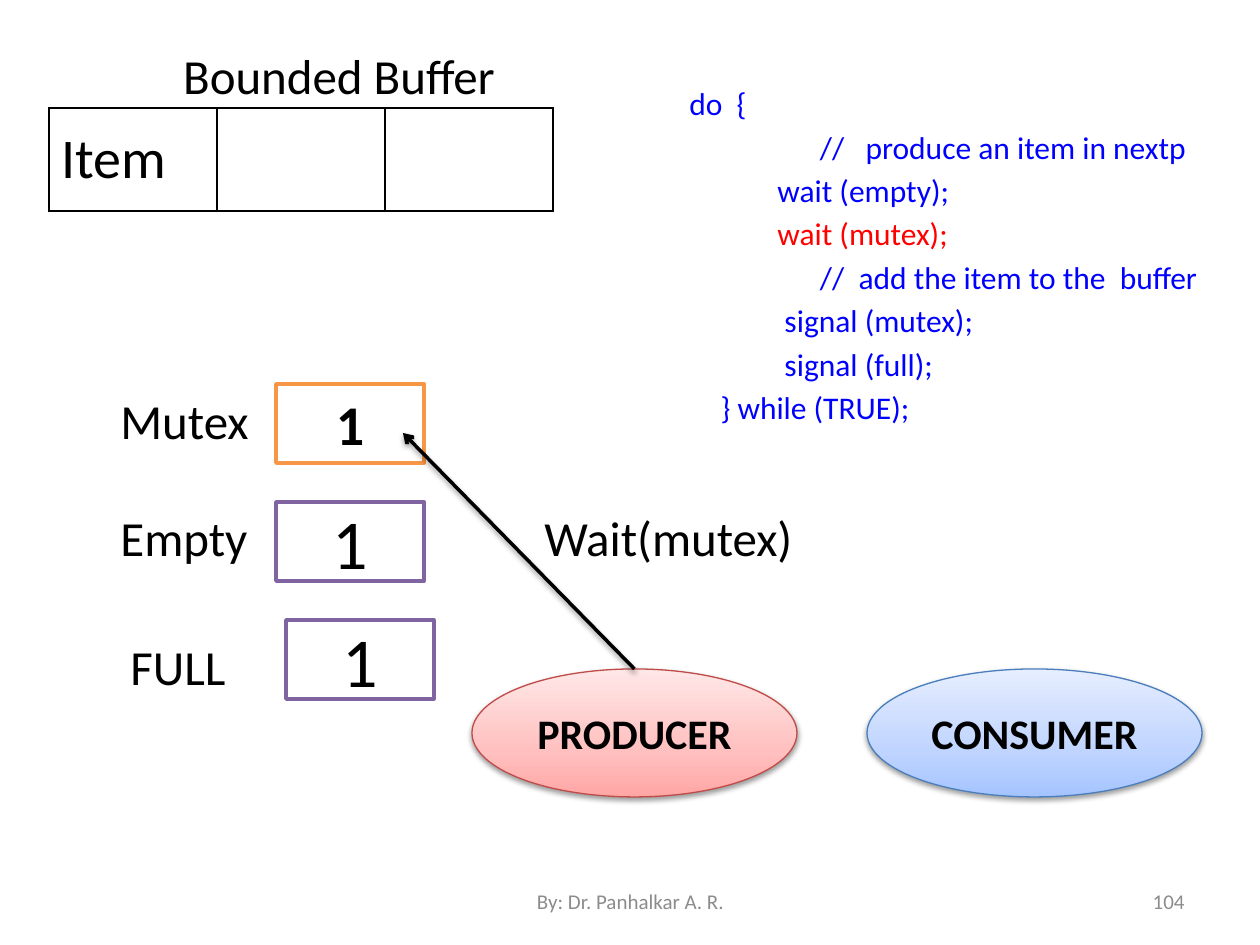
from dataclasses import dataclass

from lxml import etree
from pptx import Presentation
from pptx.dml.color import RGBColor
from pptx.enum.shapes import MSO_CONNECTOR as CONN, MSO_SHAPE as SHAPE
from pptx.enum.text import MSO_ANCHOR as ANCHOR, PP_ALIGN as ALIGN
from pptx.oxml import parse_xml
from pptx.oxml.ns import nsdecls, qn
from pptx.util import Pt


@dataclass(frozen=True)
class Theme:
    font: str = "Calibri"
    black: str = "000000"
    white: str = "FFFFFF"
    code: str = "0000FF"
    current: str = "FF0000"
    grey: str = "8C8C8C"
    orange: str = "F79646"
    purple: str = "8064A2"
    footer: int = 12
    code_size: int = 18
    role: int = 24
    label: int = 28
    item: int = 32
    count: int = 40


T = Theme()
CELLS = ["Item", "", ""]
TABLE_BOX = (49, 108, 504, 103)
LABELS = [
    ("Bounded Buffer", (78, 39, 522, 72), ALIGN.CENTER),
    ("Wait(mutex)", (532, 501, 305, 72), ALIGN.LEFT),
]
SEMAPHORES = [
    ("Mutex", 108, 384, 276, T.item, T.orange, True),
    ("Empty", 108, 501, 276, T.count, T.purple, False),
    ("FULL", 118, 630, 286, T.count, T.purple, False),
]
COUNT_TOP, COUNT_STEP = 384, 118
COUNT_SIZE = (148, 79)
ROLES = [
    ("PRODUCER", (472, 669, 325, 128), "BF4C48", ["FFA6A5", "FFC0BF", "FFE7E7"]),
    ("CONSUMER", (867, 669, 335, 128), "4B7EBC", ["A4C4FF", "BFD4FF", "E6EEFF"]),
]
GRADIENT_STOPS = [0, 35, 100]
ARROW_TIP = (403, 433)
CODE_BOX = (630, 78, 601, 384)
CODE = [
    ("do  {", T.code),
    ("                         //   produce an item in nextp", T.code),
    ("                   wait (empty);", T.code),
    ("                   wait (mutex);", T.current),
    ("                         //  add the item to the  buffer", T.code),
    ("                    signal (mutex);", T.code),
    ("                    signal (full);", T.code),
    ("           } while (TRUE);", T.code),
]
CODE_INDENT = 47
FOOTERS = [
    ("104", (903, 876, 294, 50), ALIGN.RIGHT),
    ("By: Dr. Panhalkar A. R.", (431, 876, 399, 50), ALIGN.CENTER),
]


def px(n):
    return round(n * 914400 / 126)


def emu(box):
    return [px(n) for n in box]


def rgb(color):
    return RGBColor.from_string(color)


def add_run(p, text, size, color=T.black, bold=False):
    r = p.add_run()
    r.text = text
    r.font.name, r.font.size, r.font.bold = T.font, Pt(size), bold
    r.font.color.rgb = rgb(color)


def add_text(slide, text, box, size, color=T.black, align=ALIGN.LEFT, anchor=ANCHOR.TOP):
    tf = slide.shapes.add_textbox(*emu(box)).text_frame
    tf.word_wrap = True
    tf.vertical_anchor = anchor
    tf.paragraphs[0].alignment = align
    add_run(tf.paragraphs[0], text, size, color)


def add_figure(slide, kind, text, box, size, line, width, bold):
    sp = slide.shapes.add_shape(kind, *emu(box))
    sp.shadow.inherit = False
    sp.fill.solid()
    sp.fill.fore_color.rgb = rgb(T.white)
    sp.line.color.rgb = rgb(line)
    sp.line.width = Pt(width)
    tf = sp.text_frame
    tf.vertical_anchor = ANCHOR.MIDDLE
    tf.paragraphs[0].alignment = ALIGN.CENTER
    add_run(tf.paragraphs[0], text, size, bold=bold)
    return sp


def add_shadow(shape):
    props = shape._element.spPr
    effects = props.find(qn("a:effectLst"))
    if effects is None:
        effects = etree.SubElement(props, qn("a:effectLst"))
    effects.append(parse_xml(
        f'<a:outerShdw {nsdecls("a")} blurRad="40000" dist="20000" dir="5400000" '
        f'rotWithShape="0"><a:srgbClr val="{T.black}"><a:alpha val="38000"/>'
        '</a:srgbClr></a:outerShdw>'))


def set_gradient(sp, colors):
    stops = "".join(f'<a:gs pos="{pos * 1000}"><a:srgbClr val="{color}"/></a:gs>'
                    for pos, color in zip(GRADIENT_STOPS, colors))
    props = sp._element.spPr
    props.replace(props.find(qn("a:solidFill")), parse_xml(
        f'<a:gradFill {nsdecls("a")} rotWithShape="1"><a:gsLst>{stops}</a:gsLst>'
        '<a:lin ang="16200000" scaled="0"/></a:gradFill>'))


def add_buffer(slide):
    frame = slide.shapes.add_table(1, len(CELLS), *emu(TABLE_BOX))
    table = frame.table
    table.first_row = table.horz_banding = False
    for cell, text in zip(table.rows[0].cells, CELLS):
        for side in "LRTB":
            cell._tc.get_or_add_tcPr().append(parse_xml(
                f'<a:ln{side} {nsdecls("a")} w="12700"><a:solidFill>'
                f'<a:srgbClr val="{T.black}"/></a:solidFill></a:ln{side}>'))
        cell.fill.background()
        cell.vertical_anchor = ANCHOR.MIDDLE
        if text:
            add_run(cell.text_frame.paragraphs[0], text, T.item)


def add_code(slide):
    tf = slide.shapes.add_textbox(*emu(CODE_BOX)).text_frame
    tf.word_wrap = True
    for i, (text, color) in enumerate(CODE):
        p = tf.add_paragraph() if i else tf.paragraphs[0]
        p_pr = p._p.get_or_add_pPr()
        p_pr.set("marL", str(px(CODE_INDENT)))
        p_pr.set("indent", str(-px(CODE_INDENT) if i else 0))
        if i:
            p.space_before = Pt(3.2)
        add_run(p, text, T.code_size, color)


def add_arrow(slide, source):
    line = slide.shapes.add_connector(CONN.STRAIGHT, 0, 0, *emu(ARROW_TIP))
    line.begin_connect(source, 0)
    line.line.color.rgb = rgb(T.black)
    line.line.width = Pt(2)
    etree.SubElement(line.line._get_or_add_ln(), qn("a:tailEnd"), type="arrow")
    add_shadow(line)


def main():
    prs = Presentation()
    prs.slide_width, prs.slide_height = px(1260), px(945)
    slide = prs.slides.add_slide(prs.slide_layouts[6])
    add_buffer(slide)
    for i, (name, x, y, count_x, size, color, bold) in enumerate(SEMAPHORES):
        add_text(slide, name, (x, y, 168, 72), T.label)
        box = (count_x, COUNT_TOP + i * COUNT_STEP, *COUNT_SIZE)
        add_figure(slide, SHAPE.RECTANGLE, "1", box, size, color, 2, bold)
    for text, box, align in LABELS:
        add_text(slide, text, box, T.label, align=align)
    roles = []
    for name, box, line, colors in ROLES:
        sp = add_figure(slide, SHAPE.OVAL, name, box, T.role, line, 0.75, True)
        set_gradient(sp, colors)
        add_shadow(sp)
        roles.append(sp)
    add_arrow(slide, roles[0])
    add_code(slide)
    for text, box, align in FOOTERS:
        add_text(slide, text, box, T.footer, T.grey, align, ANCHOR.MIDDLE)
    prs.save("out.pptx")


if __name__ == "__main__":
    main()
